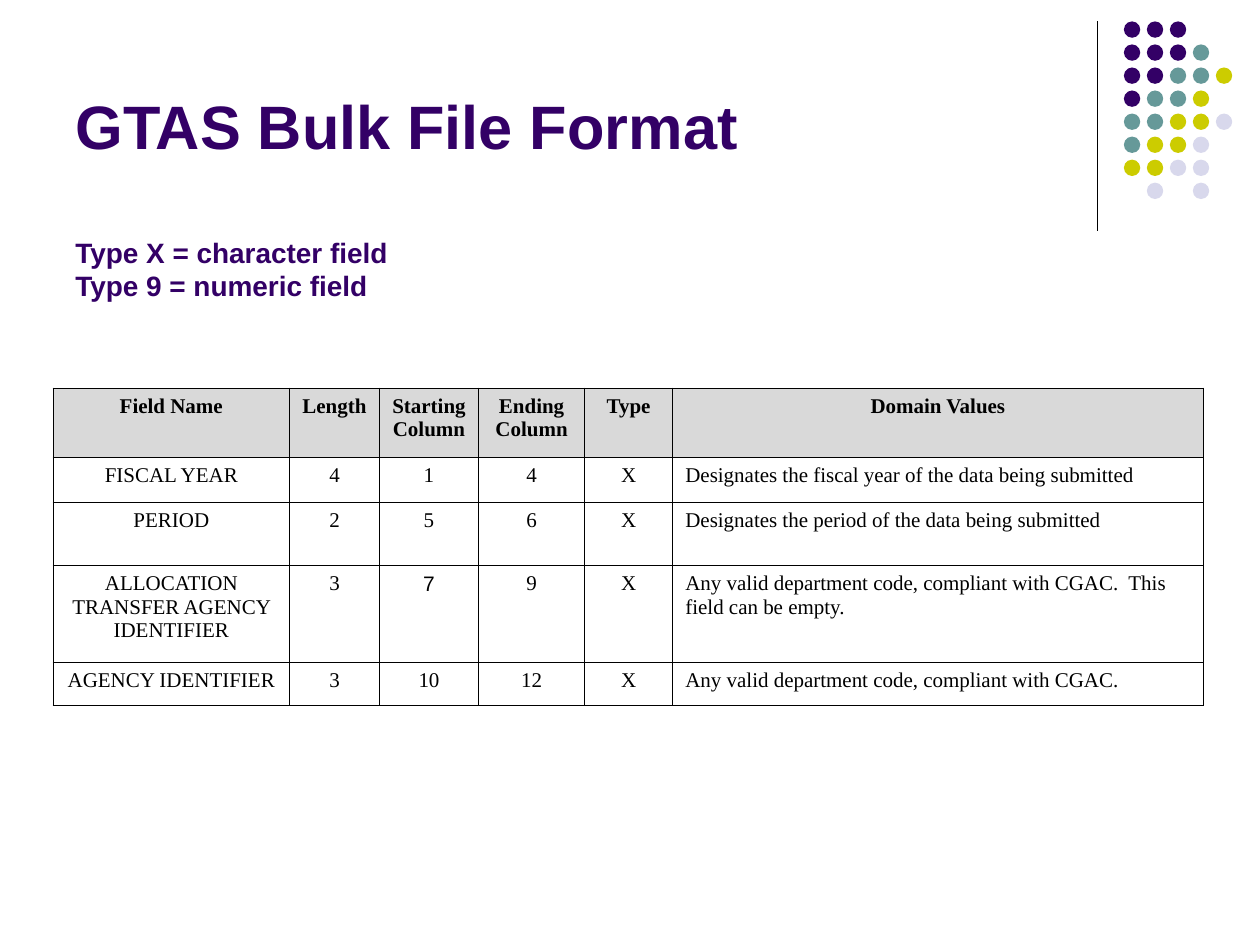
from dataclasses import dataclass

from lxml.etree import SubElement
from pptx import Presentation
from pptx.dml.color import RGBColor
from pptx.enum.shapes import MSO_CONNECTOR, MSO_SHAPE
from pptx.enum.text import MSO_ANCHOR, PP_ALIGN
from pptx.oxml.ns import qn
from pptx.util import Inches, Pt


@dataclass(frozen=True)
class Theme:
    """Colours, fonts and type sizes of the slide."""
    purple: str = "330066"
    teal: str = "669999"
    lime: str = "CCCC00"
    lavender: str = "D8D8EC"
    black: str = "000000"
    header: str = "D9D9D9"
    sans: str = "Arial"
    serif: str = "Times New Roman"
    title: int = 35
    subtitle: int = 16
    table: int = 12


THEME = Theme()
DOT_COLORS = {"P": THEME.purple, "T": THEME.teal,
              "L": THEME.lime, "V": THEME.lavender}
DOT_ROWS = ["PPP", "PPPT", "PPTTL", "PTTL", "TTLLV", "TLLV", "LLVV", " V V"]
COL_WIDTHS = [1.88, 0.71, 0.79, 0.84, 0.7, 4.21]
ROW_HEIGHTS = [0.55, 0.36, 0.5, 0.77, 0.34]
FIELDS = [
    ["Field Name", "Length", "Starting Column", "Ending Column", "Type",
     "Domain Values"],
    ["FISCAL YEAR", "4", "1", "4", "X",
     "Designates the fiscal year of the data being submitted"],
    ["PERIOD", "2", "5", "6", "X",
     "Designates the period of the data being submitted"],
    ["ALLOCATION TRANSFER AGENCY IDENTIFIER", "3", "7", "9", "X",
     "Any valid department code, compliant with CGAC.  This field can be empty."],
    ["AGENCY IDENTIFIER", "3", "10", "12", "X",
     "Any valid department code, compliant with CGAC."],
]
SANS_CELL = (3, 2)


def rgb(color):
    """Turn a hex string into a colour."""
    return RGBColor.from_string(color)


def style_paragraph(p, size, font, color, bold):
    """Format every run of a paragraph."""
    for r in p.runs:
        r.font.size = Pt(size)
        r.font.name = font
        r.font.bold = bold
        r.font.color.rgb = rgb(color)


def add_rule(s):
    """Draw the vertical rule beside the dots."""
    line = s.shapes.add_connector(MSO_CONNECTOR.STRAIGHT, Inches(8.71),
                                  Inches(0.17), Inches(8.71), Inches(1.83))
    line.line.color.rgb = rgb(THEME.black)
    line.line.width = Pt(0.75)
    SubElement(line._element.spPr, qn("a:effectLst"))


def add_dots(s):
    """Draw the grid of coloured dots as one group."""
    group = s.shapes.add_group_shape()
    pitch_x, pitch_y = 0.73 / 4, 1.28 / 7
    for i, row in enumerate(DOT_ROWS):
        for j, key in enumerate(row):
            if key not in DOT_COLORS:
                continue
            sp = group.shapes.add_shape(
                MSO_SHAPE.OVAL, Inches(8.92 + j * pitch_x),
                Inches(0.17 + i * pitch_y), Inches(0.13), Inches(0.13))
            sp.shadow.inherit = False
            sp.fill.solid()
            sp.fill.fore_color.rgb = rgb(DOT_COLORS[key])
            sp.line.fill.background()


def add_title(s):
    """Add the title with the two lines that explain the types."""
    sp = s.shapes.add_textbox(Inches(0.5), Inches(0.65),
                              Inches(8.25), Inches(2.02))
    tf = sp.text_frame
    tf.word_wrap = True
    tf.vertical_anchor = MSO_ANCHOR.TOP
    tf.text = ("GTAS Bulk File Format\n"
               "Type X = character field\nType 9 = numeric field")
    sizes = [THEME.title, THEME.subtitle, THEME.subtitle]
    for p, size in zip(tf.paragraphs, sizes):
        style_paragraph(p, size, THEME.sans, THEME.purple, True)
    tf.paragraphs[1].space_before = Pt(42)


def add_borders(cell):
    """Give a cell a thin line on each side."""
    tc_pr = cell._tc.get_or_add_tcPr()
    for side in ("a:lnL", "a:lnR", "a:lnT", "a:lnB"):
        ln = SubElement(tc_pr, qn(side), w=str(Pt(0.45)))
        fill = SubElement(ln, qn("a:solidFill"))
        SubElement(fill, qn("a:srgbClr"), val=THEME.black)


def add_field_table(s):
    """Add the table of record fields."""
    table = s.shapes.add_table(
        len(FIELDS), len(COL_WIDTHS), Inches(0.42), Inches(3.08),
        Inches(sum(COL_WIDTHS)), Inches(sum(ROW_HEIGHTS))).table
    table.horz_banding = False
    for col, width in zip(table.columns, COL_WIDTHS):
        col.width = Inches(width)
    for i, (row, height) in enumerate(zip(table.rows, ROW_HEIGHTS)):
        row.height = Inches(height)
        header = i == 0
        for j, cell in enumerate(row.cells):
            cell.text = FIELDS[i][j]
            add_borders(cell)
            if header:
                cell.fill.solid()
                cell.fill.fore_color.rgb = rgb(THEME.header)
            else:
                cell.fill.background()
            p = cell.text_frame.paragraphs[0]
            left = j == len(COL_WIDTHS) - 1 and not header
            p.alignment = PP_ALIGN.LEFT if left else PP_ALIGN.CENTER
            font = THEME.sans if (i, j) == SANS_CELL else THEME.serif
            style_paragraph(p, THEME.table, font, THEME.black, header)


def main():
    """Build and save the slide."""
    prs = Presentation()
    prs.slide_width, prs.slide_height = Inches(10), Inches(7.5)
    s = prs.slides.add_slide(prs.slide_layouts[6])
    add_rule(s)
    add_dots(s)
    add_field_table(s)
    add_title(s)
    prs.save("out.pptx")


if __name__ == "__main__":
    main()
